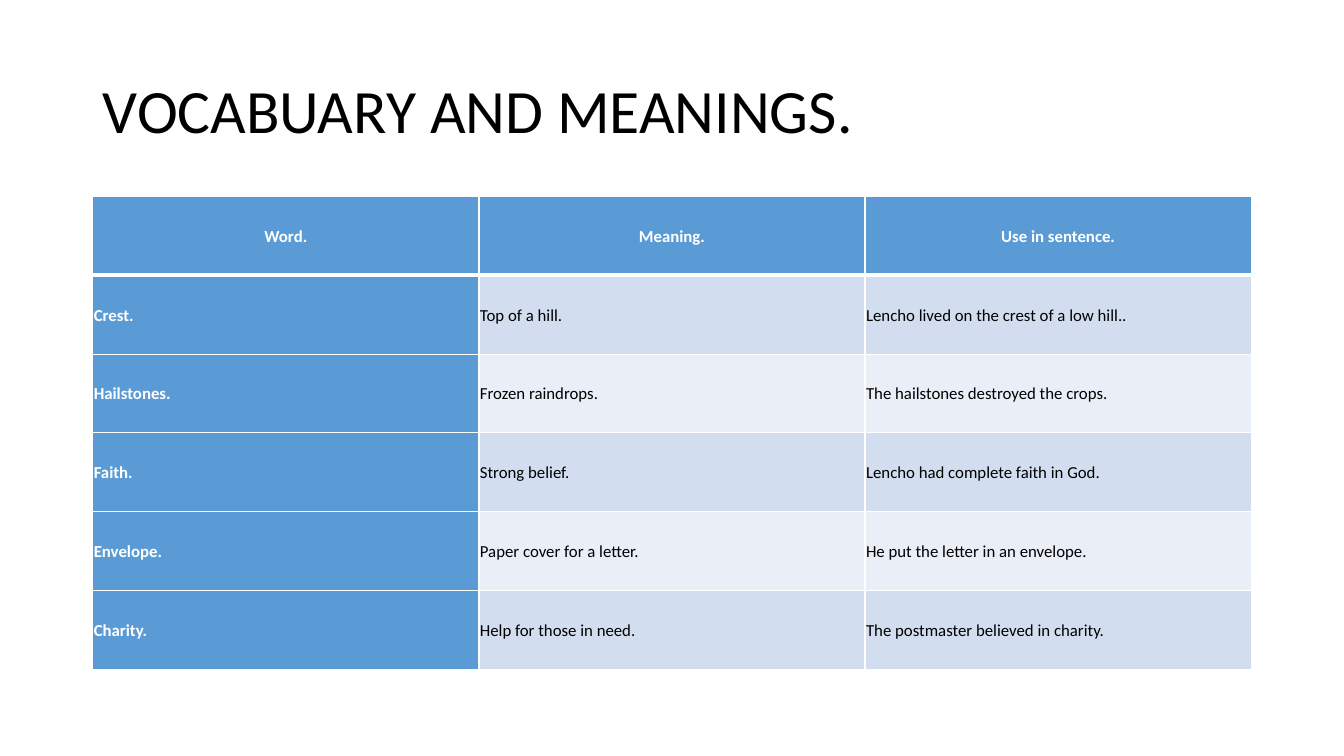
import pptx
import pptx.dml.color
import pptx.enum.text
import pptx.oxml
import pptx.oxml.ns
import pptx.util

# Content
TITLE = "VOCABUARY AND MEANINGS."
VOCABULARY = [
    ("Word.", "Meaning.", "Use in sentence."),
    ("Crest.", "Top of a hill.", "Lencho lived on the crest of a low hill.."),
    ("Hailstones.", "Frozen raindrops.", "The hailstones destroyed the crops."),
    ("Faith.", "Strong belief.", "Lencho had complete faith in God."),
    ("Envelope.", "Paper cover for a letter.", "He put the letter in an envelope."),
    ("Charity.", "Help for those in need.", "The postmaster believed in charity."),
]

# Style and layout, in inches and points
FONT = "Calibri"
COLORS = {"accent": "5B9BD5", "dark_band": "D2DEEF", "light_band": "EAEFF7",
          "white": "FFFFFF", "black": "000000"}
SLIDE_WIDTH, SLIDE_HEIGHT = 13.33, 7.5
MARGIN = 0.92
CONTENT_WIDTH = SLIDE_WIDTH - 2 * MARGIN
TITLE_TOP, TITLE_HEIGHT = 0.4, 1.45
TABLE_TOP, TABLE_HEIGHT = 1.95, 4.69
CELL_INSET = 0.01
THIN, THICK = 1, 3


def color(name):
    return pptx.dml.color.RGBColor.from_string(COLORS[name])


def add_text(frame, text, size, color_name, spacing, bold=False, align=None):
    paragraph = frame.paragraphs[0]
    paragraph.line_spacing = spacing
    paragraph.alignment = align or pptx.enum.text.PP_ALIGN.LEFT
    run = paragraph.add_run()
    run.text = text
    run.font.name = FONT
    run.font.size = pptx.util.Pt(size)
    run.font.bold = bold
    run.font.color.rgb = color(color_name)


def add_borders(cell, widths):
    properties = cell._tc.get_or_add_tcPr()
    for side, width in widths.items():
        properties.append(pptx.oxml.parse_xml(
            f'<a:ln{side} {pptx.oxml.ns.nsdecls("a")} w="{pptx.util.Pt(width)}">'
            f'<a:solidFill><a:srgbClr val="{COLORS["white"]}"/></a:solidFill>'
            f'</a:ln{side}>'))


def format_cell(cell, text, row, column):
    is_header = row == 0
    is_accent = is_header or column == 0
    band = "dark_band" if row % 2 else "light_band"
    # Borders come before the fill in the cell properties
    add_borders(cell, {"L": THIN, "R": THIN,
                       "T": THICK if row == 1 else THIN,
                       "B": THICK if is_header else THIN})
    cell.fill.solid()
    cell.fill.fore_color.rgb = color("accent" if is_accent else band)
    cell.vertical_anchor = pptx.enum.text.MSO_ANCHOR.MIDDLE
    inset = pptx.util.Inches(CELL_INSET)
    cell.margin_left = cell.margin_right = inset
    cell.margin_top = cell.margin_bottom = inset
    add_text(cell.text_frame, text, 12, "white" if is_accent else "black", 1.07,
             bold=is_accent,
             align=pptx.enum.text.PP_ALIGN.CENTER if is_header else None)


def main():
    presentation = pptx.Presentation()
    presentation.slide_width = pptx.util.Inches(SLIDE_WIDTH)
    presentation.slide_height = pptx.util.Inches(SLIDE_HEIGHT)
    slide = presentation.slides.add_slide(
        presentation.slide_layouts.get_by_name("Title Only"))

    # Title
    title = slide.shapes.title
    title.left, title.top = pptx.util.Inches(MARGIN), pptx.util.Inches(TITLE_TOP)
    title.width = pptx.util.Inches(CONTENT_WIDTH)
    title.height = pptx.util.Inches(TITLE_HEIGHT)
    title.text_frame.vertical_anchor = pptx.enum.text.MSO_ANCHOR.MIDDLE
    add_text(title.text_frame, TITLE, 44, "black", 0.9)

    # Vocabulary table with equal columns and rows
    table = slide.shapes.add_table(
        len(VOCABULARY), len(VOCABULARY[0]),
        pptx.util.Inches(MARGIN), pptx.util.Inches(TABLE_TOP),
        pptx.util.Inches(CONTENT_WIDTH), pptx.util.Inches(TABLE_HEIGHT)).table
    for row, entry in enumerate(VOCABULARY):
        for column, text in enumerate(entry):
            format_cell(table.cell(row, column), text, row, column)

    presentation.save("out.pptx")


if __name__ == "__main__":
    main()
